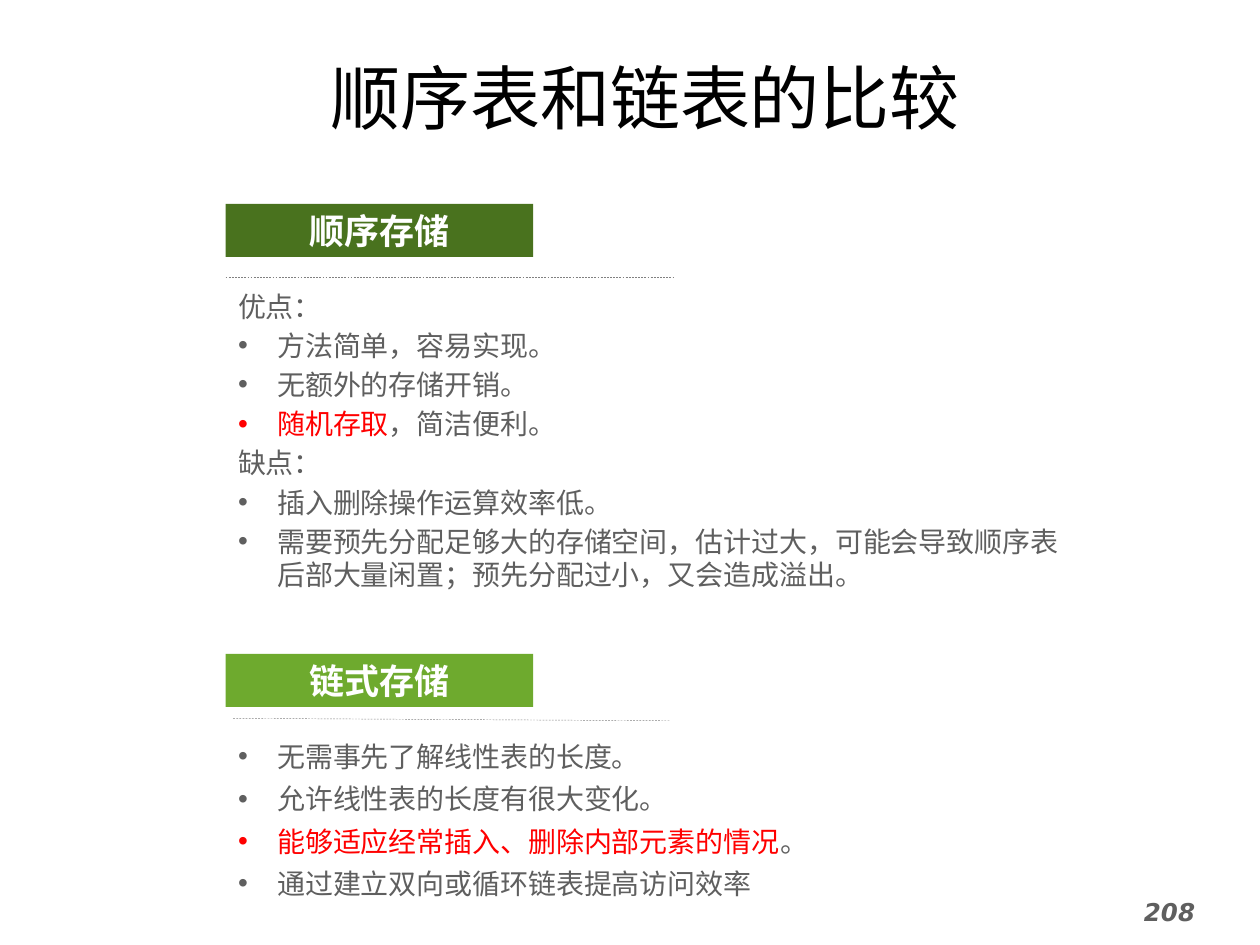
from lxml import etree
from pptx import Presentation
from pptx.dml.color import RGBColor
from pptx.enum.dml import MSO_LINE
from pptx.enum.shapes import MSO_CONNECTOR, MSO_SHAPE
from pptx.enum.text import MSO_ANCHOR, PP_ALIGN
from pptx.oxml.ns import qn
from pptx.util import Cm, Pt

RECT = MSO_SHAPE.RECTANGLE
STRAIGHT = MSO_CONNECTOR.STRAIGHT
DASH = MSO_LINE.DASH
MIDDLE = MSO_ANCHOR.MIDDLE
LEFT, CENTER = PP_ALIGN.LEFT, PP_ALIGN.CENTER

COLORS = {
    "title": "000000",
    "body": "5F5F5F",
    "key": "FF0000",
    "heading": "FFFFFF",
    "rule": "808080",
    "sequential": "49721E",
    "linked": "6EAA2E",
}
CJK = "Noto Sans CJK SC"
COLUMN_LEFT = 4.55

SEQUENTIAL_POINTS = [
    (False, [("优点：", "body")]),
    (True, [("方法简单，容易实现。", "body")]),
    (True, [("无额外的存储开销。", "body")]),
    (True, [("随机存取", "key"), ("，简洁便利。", "body")]),
    (False, [("缺点：", "body")]),
    (True, [("插入删除操作运算效率低。", "body")]),
    (True, [("需要预先分配足够大的存储空间，估计过大，可能会导致顺序表"
             "后部大量闲置；预先分配过小，又会造成溢出。", "body")]),
]
LINKED_POINTS = [
    (True, [("无需事先了解线性表的长度。", "body")]),
    (True, [("允许线性表的长度有很大变化。", "body")]),
    (True, [("能够适应经常插入、删除内部元素的情况", "key"), ("。", "body")]),
    (True, [("通过建立双向或循环链表提高访问效率", "body")]),
]


def rgb(name):
    return RGBColor.from_string(COLORS[name])


def add_run(p, text, size=16, color="body", font=CJK, bold=False, italic=False):
    r = p.add_run()
    r.text = text
    r.font.size = Pt(size)
    r.font.name = font
    r.font.bold = bold
    r.font.italic = italic
    r.font.color.rgb = rgb(color)
    ea = etree.SubElement(r.font._element, qn("a:ea"))
    ea.set("typeface", CJK)


def add_bullet(p):
    pPr = p._p.get_or_add_pPr()
    pPr.set("marL", str(Cm(0.79)))
    pPr.set("indent", str(-Cm(0.79)))
    etree.SubElement(pPr, qn("a:buFont")).set("typeface", "Arial")
    etree.SubElement(pPr, qn("a:buChar")).set("char", "•")


class SlideBuilder:
    def __init__(self, slide):
        self.s = slide

    def text_frame(self, x, y, w, h):
        tf = self.s.shapes.add_textbox(Cm(x), Cm(y), Cm(w), Cm(h)).text_frame
        tf.word_wrap = True
        return tf

    def label(self, text, x, y, w, h, align=LEFT, **fmt):
        tf = self.text_frame(x, y, w, h)
        if align == CENTER:
            tf.vertical_anchor = MIDDLE
        tf.paragraphs[0].alignment = align
        add_run(tf.paragraphs[0], text, **fmt)

    def heading(self, text, y, fill):
        sp = self.s.shapes.add_shape(RECT, Cm(COLUMN_LEFT), Cm(y), Cm(6.2), Cm(1.07))
        sp.shadow.inherit = False
        sp.fill.solid()
        sp.fill.fore_color.rgb = rgb(fill)
        sp.line.fill.background()
        tf = sp.text_frame
        tf.vertical_anchor = MIDDLE
        p = tf.paragraphs[0]
        p.alignment = CENTER
        add_run(p, text, size=20, color="heading", bold=True)

    def rule(self, x1, y1, x2, y2):
        line = self.s.shapes.add_connector(STRAIGHT, Cm(x1), Cm(y1), Cm(x2), Cm(y2))
        line.line.color.rgb = rgb("rule")
        line.line.width = Pt(0.25)
        line.line.dash_style = DASH
        etree.SubElement(line._element.spPr, qn("a:effectLst"))

    def points(self, items, y, w, h, spacing):
        tf = self.text_frame(COLUMN_LEFT, y, w, h)
        for i, (bulleted, runs) in enumerate(items):
            p = tf.add_paragraph() if i else tf.paragraphs[0]
            p.line_spacing = Pt(spacing)
            if i:
                p.space_before = Pt(3.5)
            if bulleted:
                add_bullet(p)
            for text, color in runs:
                add_run(p, text, color=color)


def main():
    prs = Presentation()
    prs.slide_width, prs.slide_height = Cm(25.4), Cm(19.05)
    b = SlideBuilder(prs.slides.add_slide(prs.slide_layouts[6]))

    b.label("顺序表和链表的比较", 0.89, 0.97, 24.23, 1.96, align=CENTER,
            size=40, color="title", font="Courier New")
    b.label("208", 22.81, 17.96, 2.59, 1.09,
            size=14, font="DejaVu Sans", bold=True, italic=True)

    b.rule(COLUMN_LEFT, 5.59, 13.56, 5.59)
    b.heading("顺序存储", 4.11, "sequential")
    b.rule(4.7, 14.48, 13.51, 14.53)
    b.heading("链式存储", 13.18, "linked")

    b.points(SEQUENTIAL_POINTS, 5.72, 17.42, 7.49, spacing=18.9)
    b.points(LINKED_POINTS, 14.73, 17.78, 1.83, spacing=20.7)

    prs.save("out.pptx")


if __name__ == "__main__":
    main()
